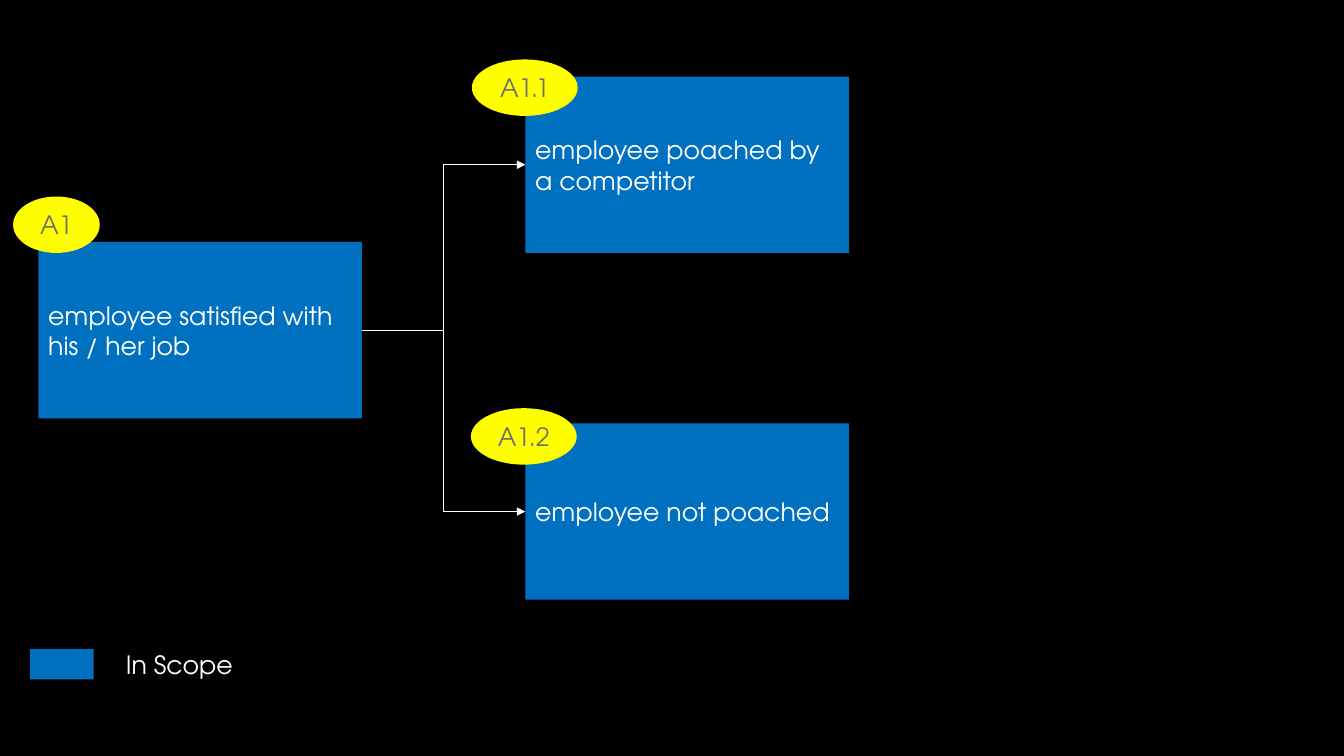
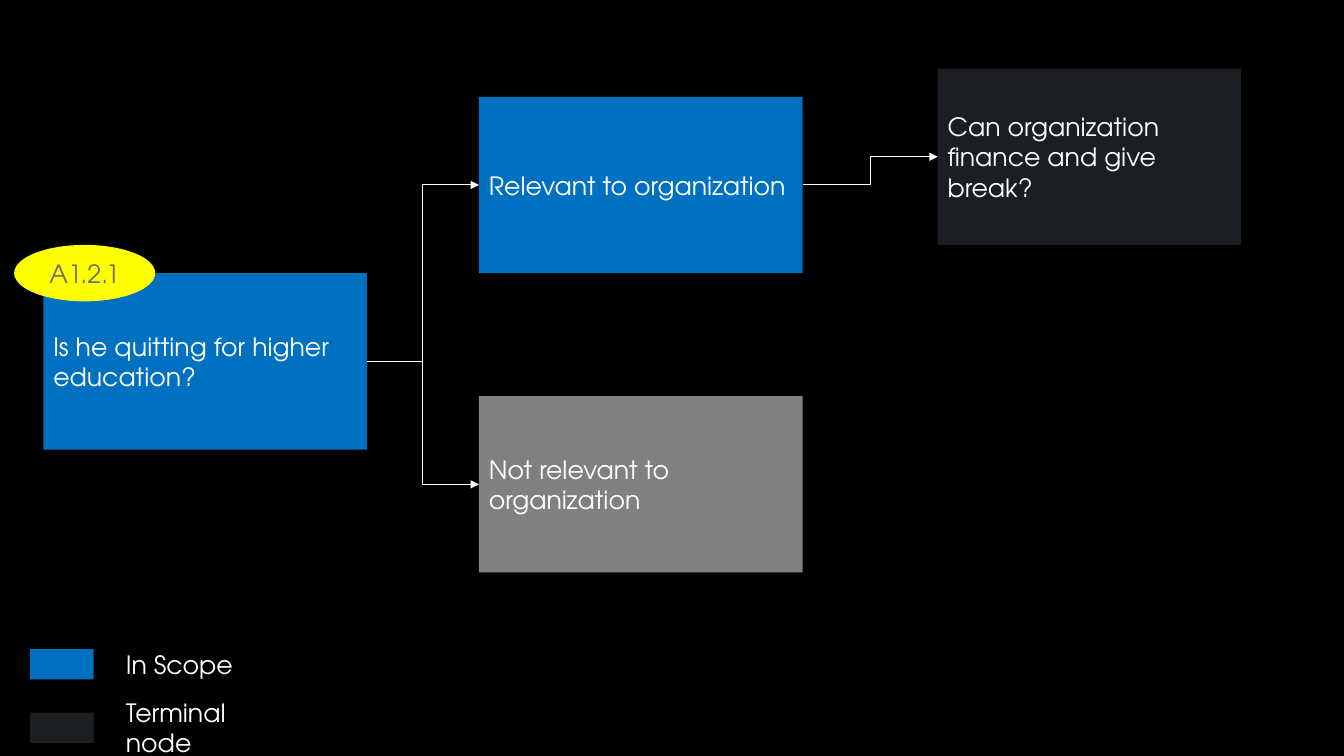
from lxml import etree
from pptx import Presentation
from pptx import util as u
from pptx.dml import color
from pptx.enum import shapes, text
from pptx.oxml import ns

COLOURS = {
    "background": "000000",
    "scope": "0070C0",
    "terminal": "1B1E23",
    "outside": "808080",
    "tag": "FFFF00",
    "tag_text": "6F6F6F",
    "light": "FFFFFF",
}


class TreeDeck:
    """Hold the decision tree style and the slide being drawn."""

    font = "TeX Gyre Adventor"
    text_size = u.Pt(18)
    node_width, node_height = 3.21, 1.75
    tag_height = 0.56
    legend_left, legend_top = 0.3, 6.44
    legend_step = 0.63
    swatch_width, swatch_height = 0.63, 0.3
    label_left, label_width = 1.15, 1.68

    def __init__(self):
        self.deck = Presentation()
        self.deck.slide_width = u.Inches(13.33)
        self.deck.slide_height = u.Inches(7.5)
        self.page = None

    def colour(self, name):
        return color.RGBColor.from_string(COLOURS[name])

    def add_page(self):
        self.page = self.deck.slides.add_slide(self.deck.slide_layouts[6])
        fill = self.page.background.fill
        fill.solid()
        fill.fore_color.rgb = self.colour("background")

    def add_words(self, box, words, ink="light", align=text.PP_ALIGN.LEFT):
        frame = box.text_frame
        frame.word_wrap = True
        para = frame.paragraphs[0]
        para.alignment = align
        span = para.add_run()
        span.text = words
        span.font.name = self.font
        span.font.size = self.text_size
        span.font.color.rgb = self.colour(ink)

    def shape(self, kind, left, top, width, height, fill):
        box = self.page.shapes.add_shape(
            kind, u.Inches(left), u.Inches(top), u.Inches(width), u.Inches(height)
        )
        box.shadow.inherit = False
        box.fill.solid()
        box.fill.fore_color.rgb = self.colour(fill)
        box.line.fill.background()
        box.text_frame.vertical_anchor = text.MSO_ANCHOR.MIDDLE
        return box

    def node(self, words, left, top, fill="scope", width=node_width):
        box = self.shape(
            shapes.MSO_SHAPE.RECTANGLE, left, top, width, self.node_height, fill
        )
        self.add_words(box, words)
        return box

    def tag(self, words, left, top, width):
        oval = self.shape(
            shapes.MSO_SHAPE.OVAL, left, top, width, self.tag_height, "tag"
        )
        self.add_words(oval, words, "tag_text", text.PP_ALIGN.CENTER)

    def arrow(self, start, end):
        link = self.page.shapes.add_connector(shapes.MSO_CONNECTOR.ELBOW, 0, 0, 0, 0)
        link.begin_connect(start, 3)
        link.end_connect(end, 1)
        link.line.color.rgb = self.colour("light")
        link.line.width = u.Pt(0.75)
        properties = link.element.spPr
        head = etree.SubElement(properties.find(ns.qn("a:ln")), ns.qn("a:tailEnd"))
        head.set("type", "triangle")
        etree.SubElement(properties, ns.qn("a:effectLst"))

    def legend(self, *entries):
        for row, (words, fill, height) in enumerate(entries):
            top = self.legend_top + row * self.legend_step
            self.shape(
                shapes.MSO_SHAPE.RECTANGLE, self.legend_left, top,
                self.swatch_width, self.swatch_height, fill,
            )
            label_top = top + (self.swatch_height - height) / 2
            label = self.page.shapes.add_textbox(
                u.Inches(self.label_left), u.Inches(label_top),
                u.Inches(self.label_width), u.Inches(height),
            )
            self.add_words(label, words)


def main():
    tree = TreeDeck()
    in_scope = ("In Scope", "scope", 0.4)

    tree.add_page()
    satisfied = tree.node("employee satisfied with his / her job", 0.38, 2.4)
    poached = tree.node("employee poached by a competitor", 5.21, 0.76)
    staying = tree.node("employee not poached", 5.21, 4.2)
    tree.arrow(satisfied, poached)
    tree.arrow(satisfied, staying)
    tree.tag("A1", 0.13, 1.95, 0.86)
    tree.tag("A1.1", 4.68, 0.59, 1.05)
    tree.tag("A1.2", 4.67, 4.05, 1.05)
    tree.legend(in_scope)

    tree.add_page()
    education = tree.node("Is he quitting for higher education?", 0.43, 2.71)
    relevant = tree.node("Relevant to organization", 4.75, 0.96)
    finance = tree.node(
        "Can organization finance and give break?", 9.3, 0.68, "terminal", 3.01
    )
    irrelevant = tree.node("Not relevant to organization", 4.75, 3.93, "outside")
    tree.arrow(education, relevant)
    tree.arrow(education, irrelevant)
    tree.arrow(relevant, finance)
    tree.tag("A1.2.1", 0.14, 2.43, 1.4)
    tree.legend(in_scope, ("Terminal node", "terminal", 0.71))

    tree.deck.save("out.pptx")


if __name__ == "__main__":
    main()
